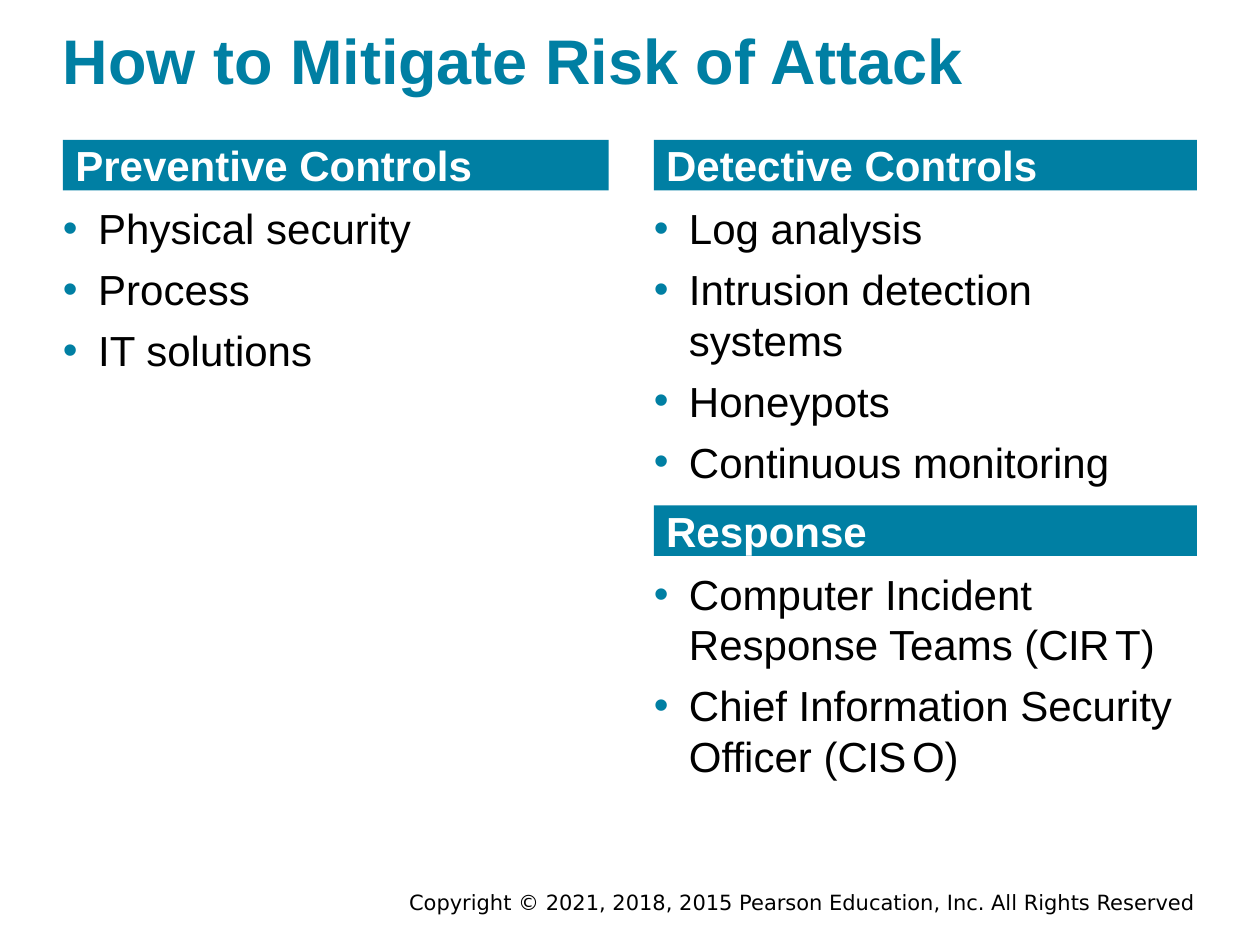
from pptx import Presentation
from pptx.dml.color import RGBColor
from pptx.enum.shapes import MSO_SHAPE
from pptx.enum.text import MSO_ANCHOR, PP_ALIGN
from pptx.oxml.ns import qn
from pptx.util import Cm, Pt
from lxml import etree

TEAL = RGBColor(0x00, 0x7F, 0xA3)
WHITE = RGBColor(0xFF, 0xFF, 0xFF)
BLACK = RGBColor(0x00, 0x00, 0x00)
RECT = MSO_SHAPE.RECTANGLE
TOP, MIDDLE = MSO_ANCHOR.TOP, MSO_ANCHOR.MIDDLE
LEFT, RIGHT = PP_ALIGN.LEFT, PP_ALIGN.RIGHT

BAR = 1.02      # height of a heading bar
DROP = 1.27     # from the top of a bar to the top of its list
TIGHT = -350    # letter spacing of spelled-out acronyms, 1/100 pt


class Deck:
    """Holds the text style and the current slide."""

    font = "Arial"
    size = 24

    def __init__(self, slide):
        self.slide = slide

    def frame(self, shape, anchor=TOP):
        frame = shape.text_frame
        frame.word_wrap = True
        frame.vertical_anchor = anchor
        frame.margin_left = frame.margin_right = 0
        frame.margin_top = frame.margin_bottom = 0
        return frame

    def run(self, para, text, color, size=None, bold=False, font=None, gap=0):
        run = para.add_run()
        run.text = text
        run.font.name = font or self.font
        run.font.size = Pt(size or self.size)
        run.font.bold = bold
        run.font.color.rgb = color
        if gap:
            run._r.get_or_add_rPr().set("spc", str(gap))

    def indent(self, para, left, first):
        props = para._p.get_or_add_pPr()
        props.set("marL", str(Cm(left)))
        props.set("indent", str(Cm(first)))
        return props

    def bullet(self, para):
        props = self.indent(para, 0.71, -0.71)
        color = etree.SubElement(props, qn("a:buClr"))
        etree.SubElement(color, qn("a:srgbClr")).set("val", str(TEAL))
        etree.SubElement(props, qn("a:buFont")).set("typeface", self.font)
        etree.SubElement(props, qn("a:buChar")).set("char", "•")

    def text(self, box, words, color, align=LEFT, anchor=TOP, **style):
        shape = self.slide.shapes.add_textbox(*map(Cm, box))
        para = self.frame(shape, anchor).paragraphs[0]
        para.alignment = align
        self.run(para, words, color, **style)

    def bar(self, x, y, width, words):
        shape = self.slide.shapes.add_shape(
            RECT, Cm(x), Cm(y), Cm(width), Cm(BAR))
        shape.shadow.inherit = False
        shape.fill.solid()
        shape.fill.fore_color.rgb = TEAL
        shape.line.fill.background()
        para = self.frame(shape).paragraphs[0]
        para.alignment = LEFT
        self.indent(para, 0, 0.25)
        self.run(para, words, WHITE, bold=True)

    def items(self, x, y, width, height, rows):
        shape = self.slide.shapes.add_textbox(
            Cm(x), Cm(y), Cm(width), Cm(height))
        frame = self.frame(shape)
        for i, row in enumerate(rows):
            para = frame.add_paragraph() if i else frame.paragraphs[0]
            self.bullet(para)
            if i:
                para.space_before = Pt(6)
            # The second part of a row, if any, is a tight acronym
            for j, part in enumerate(row):
                self.run(para, part, BLACK, gap=TIGHT if j == 1 else 0)


# Left, top, width, list height, heading, rows of runs
PARTS = [
    (1.27, 2.82, 11, 3.5, "Preventive Controls",
     [["Physical security"], ["Process"], ["IT solutions"]]),
    (13.18, 2.82, 10.95, 5.77, "Detective Controls",
     [["Log analysis"], ["Intrusion detection systems"],
      ["Honeypots"], ["Continuous monitoring"]]),
    (13.18, 10.19, 10.95, 4.32, "Response",
     [["Computer Incident Response Teams (", "C I R ", "T)"],
      ["Chief Information Security Officer (", "C I S ", "O)"]]),
]


def main():
    prs = Presentation()
    prs.slide_width, prs.slide_height = Cm(25.4), Cm(19.05)
    deck = Deck(prs.slides.add_slide(prs.slide_layouts[6]))

    # Footer
    deck.text((7.62, 17.93, 16.48, 0.56),
              "Copyright © 2021, 2018, 2015 Pearson Education, Inc. "
              "All Rights Reserved",
              BLACK, align=RIGHT, size=12, font="DejaVu Sans")

    # Title
    deck.text((1.27, 0.43, 22.86, 1.55), "How to Mitigate Risk of Attack",
              TEAL, anchor=MIDDLE, size=36, bold=True)

    # Headed lists
    for x, y, width, height, head, rows in PARTS:
        deck.bar(x, y, width, head)
        deck.items(x, y + DROP, width, height, rows)

    prs.save("out.pptx")


if __name__ == "__main__":
    main()
